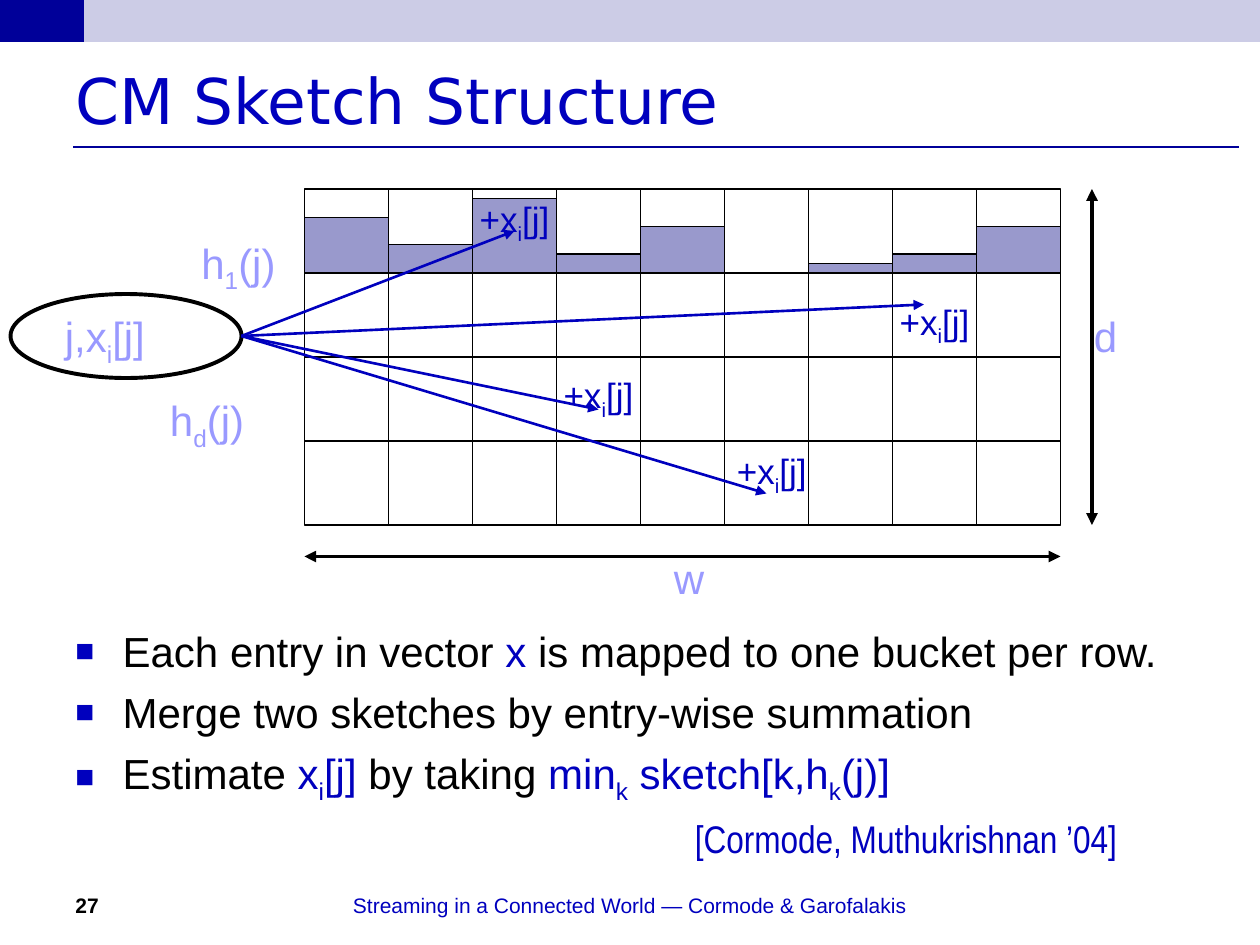
from lxml import etree
from pptx import Presentation, util as u
from pptx.dml.color import RGBColor
from pptx.enum import shapes, text
from pptx.oxml import ns

EMU_PER_PX = 7620
BLACK = RGBColor(0x00, 0x00, 0x00)
BLUE = RGBColor(0x00, 0x00, 0xBE)
NAVY = RGBColor(0x00, 0x00, 0x99)
PALE = RGBColor(0xCC, 0xCC, 0xE6)
BAR = RGBColor(0x99, 0x99, 0xCC)
LILAC = RGBColor(0x99, 0x99, 0xFF)

CELL, COLUMNS, ROWS = 80, 9, 4
LEFT, TOP = 290, 180
RIGHT, BOTTOM = LEFT + COLUMNS * CELL, TOP + ROWS * CELL
BAR_HEIGHTS = [53, 27, 71, 18, 44, 0, 9, 18, 44]
SOURCE = (230, 320)


def px(*lengths):
    return [u.Emu(length * EMU_PER_PX) for length in lengths]


def child(parent, tag, **attributes):
    return etree.SubElement(parent, ns.qn(tag), attributes)


def indexed(base, index, rest, colour):
    return [(base, colour, False), (index, colour, True), (rest, colour, False)]


class SlideBuilder:
    font = "Arial"

    def __init__(self, slide):
        self.slide = slide

    def shape(self, kind, box, fill=None, line=None, width=0.75):
        item = self.slide.shapes.add_shape(kind, *px(*box))
        item.shadow.inherit = False
        if fill is None:
            item.fill.background()
        else:
            item.fill.solid()
            item.fill.fore_color.rgb = fill
        if line is None:
            item.line.fill.background()
        else:
            item.line.color.rgb = line
            item.line.width = u.Pt(width)

    def line(self, start, end, colour=BLACK, width=0.75, heads=()):
        item = self.slide.shapes.add_connector(
            shapes.MSO_CONNECTOR.STRAIGHT, *px(*start, *end))
        item.line.color.rgb = colour
        item.line.width = u.Pt(width)
        outline = item.line._get_or_add_ln()
        for head in heads:
            child(outline, head, type="triangle")
        child(item._element.spPr, "a:effectLst")

    def text(self, box, paragraphs, size, font=None, align=text.PP_ALIGN.LEFT,
             anchor=text.MSO_ANCHOR.TOP, grow=False, bullets=False, bold=False):
        frame = self.slide.shapes.add_textbox(*px(*box)).text_frame
        frame.word_wrap = True
        frame.vertical_anchor = anchor
        if grow:
            frame.auto_size = text.MSO_AUTO_SIZE.SHAPE_TO_FIT_TEXT
        for number, runs in enumerate(paragraphs):
            paragraph = frame.add_paragraph() if number else frame.paragraphs[0]
            paragraph.alignment = align
            if bullets:
                self.bullet(paragraph)
            if number:
                paragraph.space_before = u.Pt(6)
            for words, colour, subscript in runs:
                run = paragraph.add_run()
                run.text = words
                run.font.name = font or self.font
                run.font.size = u.Pt(size)
                run.font.bold = bold
                run.font.color.rgb = colour
                if subscript:
                    run._r.get_or_add_rPr().set("baseline", "-25000")

    def bullet(self, paragraph):
        properties = paragraph._p.get_or_add_pPr()
        indent = px(45)[0]
        properties.set("marL", str(indent))
        properties.set("indent", str(-indent))
        child(child(properties, "a:buClr"), "a:srgbClr", val=str(BLUE))
        child(properties, "a:buSzPct", val="75000")
        child(properties, "a:buFont", typeface=self.font)
        child(properties, "a:buChar", char="■")


def draw_header(page):
    rectangle = shapes.MSO_SHAPE.RECTANGLE
    page.shape(rectangle, (0, 0, 1200, 40), PALE)
    page.shape(rectangle, (0, 0, 80, 40), NAVY)
    page.line((70, 140), (1180, 140), NAVY)
    page.text((60, 40, 1140, 110), [[("CM Sketch Structure", BLUE, False)]], 36,
              font="DejaVu Sans", anchor=text.MSO_ANCHOR.MIDDLE)


def draw_sketch(page):
    rectangle = shapes.MSO_SHAPE.RECTANGLE
    for column, height in enumerate(BAR_HEIGHTS):
        if height:
            page.shape(rectangle, (LEFT + column * CELL, TOP + CELL - height, CELL, height),
                       BAR, BLACK)
    page.shape(rectangle, (LEFT, TOP, RIGHT - LEFT, BOTTOM - TOP), line=BLACK)
    for x in range(LEFT + CELL, RIGHT, CELL):
        page.line((x, TOP), (x, BOTTOM))
    for y in range(TOP + CELL, BOTTOM, CELL):
        page.line((LEFT, y), (RIGHT, y))

    both_ends = ("a:headEnd", "a:tailEnd")
    page.line((1040, TOP), (1040, BOTTOM), width=2.25, heads=both_ends)
    page.line((LEFT, 530), (RIGHT, 530), width=2.25, heads=both_ends)
    page.text((1030, 290, 170, 60), [[("d", LILAC, False)]], 24, grow=True)
    page.text((630, 520, 160, 60), [[("w", LILAC, False)]], 24, grow=True)


def draw_updates(page):
    page.shape(shapes.MSO_SHAPE.OVAL, (10, 280, 220, 80), line=BLACK, width=2.25)
    update = indexed("+x", "i", "[j]", BLUE)
    for label, target in [
        ((420, 182, 140, 58), (490, 220)),
        ((820, 280, 140, 58), (880, 290)),
        ((500, 350, 140, 58), (570, 390)),
        ((660, 422, 150, 58), (730, 470)),
    ]:
        page.text(label, [update], 20, align=text.PP_ALIGN.CENTER, grow=True)
        page.line(SOURCE, target, BLUE, 1.5, ("a:tailEnd",))
    for box, base, index, rest in [
        ((180, 220, 130, 67), "h", "1", "(j)"),
        ((150, 370, 210, 67), "h", "d", "(j)"),
        ((50, 290, 180, 67), "j,x", "i", "[j]"),
    ]:
        page.text(box, [indexed(base, index, rest, LILAC)], 24, grow=True)


def draw_points(page):
    points = [
        [("Each entry in vector ", BLACK, False), ("x", BLUE, False),
         (" is mapped to one bucket per row.", BLACK, False)],
        [("Merge two sketches by entry-wise summation", BLACK, False)],
        [("Estimate ", BLACK, False), *indexed("x", "i", "[j]", BLUE),
         (" by taking ", BLACK, False), *indexed("min", "k", " sketch[k,h", BLUE),
         ("k", BLUE, True), ("(j)]", BLUE, False)],
    ]
    page.text((60, 590, 1080, 200), points, 24, bullets=True)
    page.text((650, 770, 510, 56), [[("[Cormode, Muthukrishnan ’04]", BLUE, False)]], 22,
              font="Arial Narrow", grow=True)


def draw_footer(page):
    credit = "Streaming in a Connected World — Cormode & Garofalakis"
    page.text((310, 820, 580, 60), [[(credit, BLUE, False)]], 12,
              align=text.PP_ALIGN.CENTER, anchor=text.MSO_ANCHOR.BOTTOM)
    page.text((60, 820, 280, 60), [[("27", BLACK, False)]], 12,
              anchor=text.MSO_ANCHOR.BOTTOM, bold=True)


def main():
    deck = Presentation()
    deck.slide_width, deck.slide_height = px(1200, 900)
    page = SlideBuilder(deck.slides.add_slide(deck.slide_layouts[6]))
    draw_header(page)
    draw_sketch(page)
    draw_updates(page)
    draw_points(page)
    draw_footer(page)
    deck.save("out.pptx")


if __name__ == "__main__":
    main()
